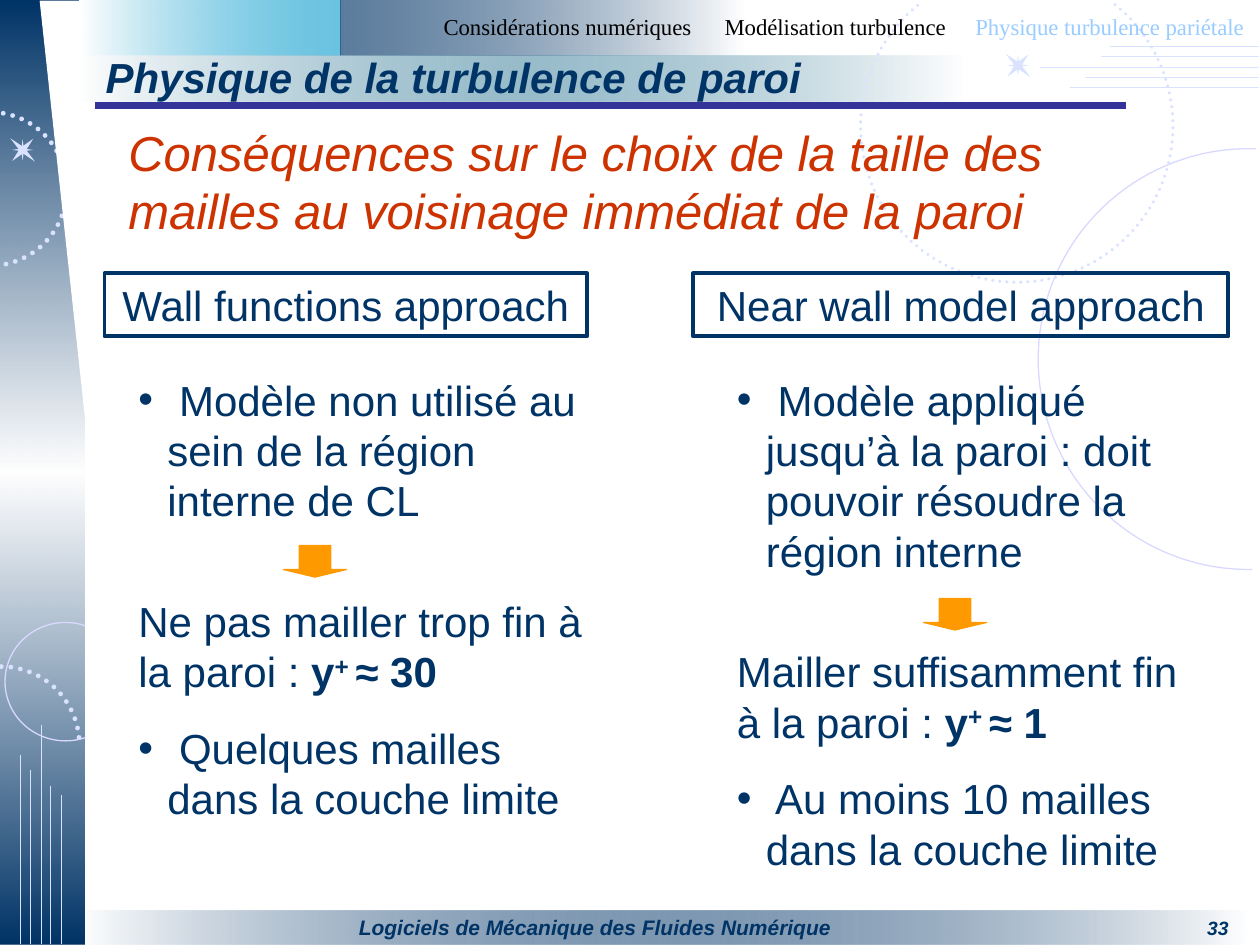
import dataclasses
import math

import lxml.etree
import pptx
import pptx.dml.color
import pptx.enum.dml
import pptx.enum.shapes
import pptx.enum.text
import pptx.oxml.ns
import pptx.slide
import pptx.util

Inches = pptx.util.Inches
Pt = pptx.util.Pt
SHAPE = pptx.enum.shapes.MSO_SHAPE
ALIGN = pptx.enum.text.PP_ALIGN
qn = pptx.oxml.ns.qn


@dataclasses.dataclass(frozen=True)
class Theme:
    navy: str = "003366"
    white: str = "FFFFFF"
    pale: str = "D9E3FF"
    lilac: str = "D9D9FF"
    cyan: str = "0099CC"
    teal: str = "5490A8"
    rule: str = "333399"
    red: str = "CC3300"
    orange: str = "FF9900"
    black: str = "000000"
    sky: str = "99CCFF"
    sans: str = "Arial"
    serif: str = "Times New Roman"
    headline: int = 28
    body: int = 24
    nav: int = 13
    footer: int = 12
    number: int = 11


def rgb(color):
    return pptx.dml.color.RGBColor.from_string(color)


@dataclasses.dataclass
class Page:
    theme: Theme
    s: pptx.slide.Slide

    def finish(self, sp, fill, line, width):
        sp.shadow.inherit = False
        if fill:
            sp.fill.solid()
            sp.fill.fore_color.rgb = rgb(fill)
        else:
            sp.fill.background()
        if line:
            sp.line.color.rgb = rgb(line)
            sp.line.width = Pt(width)
        else:
            sp.line.fill.background()
        return sp

    def shape(self, kind, x, y, w, h, fill=None, line=None, width=0.75, rotation=0, adjust=()):
        sp = self.s.shapes.add_shape(kind, Inches(x), Inches(y), Inches(w), Inches(h))
        sp.rotation = rotation
        for i, value in enumerate(adjust):
            sp.adjustments[i] = value
        return self.finish(sp, fill, line, width)

    def gradient(self, x, y, w, h, stops, angle=0):
        sp = self.shape(SHAPE.RECTANGLE, x, y, w, h)
        sp.fill.gradient()
        sp.fill.gradient_angle = angle
        gs_list = sp._element.spPr.find(qn("a:gradFill")).find(qn("a:gsLst"))
        for gs in list(gs_list):
            gs_list.remove(gs)
        for position, color, alpha in stops:
            gs = lxml.etree.SubElement(gs_list, qn("a:gs"), pos=str(position * 1000))
            clr = lxml.etree.SubElement(gs, qn("a:srgbClr"), val=color)
            lxml.etree.SubElement(clr, qn("a:alpha"), val=str(alpha * 1000))

    def line(self, x1, y1, x2, y2, color, width):
        cx = self.s.shapes.add_connector(pptx.enum.shapes.MSO_CONNECTOR.STRAIGHT,
                                         Inches(x1), Inches(y1), Inches(x2), Inches(y2))
        cx.line.color.rgb = rgb(color)
        cx.line.width = Pt(width)
        lxml.etree.SubElement(cx._element.spPr, qn("a:effectLst"))

    def arc(self, cx, cy, radius, start, end, color, width, dotted=False):
        steps = 72
        angles = [math.radians(start + (end - start) * i / steps) for i in range(steps + 1)]
        points = [(Inches(cx + radius * math.cos(a)), Inches(cy + radius * math.sin(a)))
                  for a in angles]
        builder = self.s.shapes.build_freeform(*points[0])
        builder.add_line_segments(points[1:], close=False)
        sp = self.finish(builder.convert_to_shape(), None, color, width)
        if dotted:
            sp.line.dash_style = pptx.enum.dml.MSO_LINE.ROUND_DOT
            sp._element.spPr.find(qn("a:ln")).set("cap", "rnd")

    def star(self, cx, cy):
        for w, h, rotation, inner in ((0.27, 0.24, 43.4, 0.11), (0.17, 0.17, 0, 0.08)):
            self.shape(SHAPE.STAR_4_POINT, cx - w / 2, cy - h / 2, w, h, self.theme.pale,
                       rotation=rotation, adjust=[inner])

    def textbox(self, x, y, w, h):
        sp = self.s.shapes.add_textbox(Inches(x), Inches(y), Inches(w), Inches(h))
        sp.text_frame.word_wrap = True
        return sp.text_frame

    def run(self, p, text, size, color=None, font=None, bold=False, italic=False, baseline=0):
        r = p.add_run()
        r.text = text
        r.font.size = Pt(size)
        r.font.name = font or self.theme.sans
        r.font.color.rgb = rgb(color or self.theme.navy)
        r.font.bold = bold
        r.font.italic = italic
        if baseline:
            r._r.get_or_add_rPr().set("baseline", str(baseline * 1000))

    def text(self, x, y, w, h, text, size, align=ALIGN.LEFT, **style):
        p = self.textbox(x, y, w, h).paragraphs[0]
        p.alignment = align
        self.run(p, text, size, **style)

    def navigation(self, x, y, w, h, items, tabs):
        tf = self.textbox(x, y, w, h)
        tf.margin_left = tf.margin_right = 0
        p = tf.paragraphs[0]
        tab_list = lxml.etree.SubElement(p._p.get_or_add_pPr(), qn("a:tabLst"))
        for tab in tabs:
            lxml.etree.SubElement(tab_list, qn("a:tab"), pos=str(Inches(tab)), algn="l")
        for i, (label, color) in enumerate(items):
            self.run(p, "\t" + label if i else label, self.theme.nav, color, self.theme.serif)

    def heading(self, x, w, text):
        sp = self.shape(SHAPE.RECTANGLE, x, 2.17, w, 0.5, line=self.theme.navy, width=2.25)
        tf = sp.text_frame
        tf.word_wrap = True
        tf.vertical_anchor = pptx.enum.text.MSO_ANCHOR.TOP
        p = tf.paragraphs[0]
        p.alignment = ALIGN.CENTER
        self.run(p, text, self.theme.body)

    def bullet(self, p, text):
        pPr = p._p.get_or_add_pPr()
        pPr.set("marL", str(Inches(0.23)))
        pPr.set("indent", str(Inches(-0.23)))
        lxml.etree.SubElement(pPr, qn("a:buFont"), typeface=self.theme.sans)
        lxml.etree.SubElement(pPr, qn("a:buChar"), char="•")
        self.run(p, " " + text, self.theme.body)

    def column(self, x, h, model, advice, value, cells):
        size = self.theme.body
        tf = self.textbox(x, 2.92, 3.75, h)
        self.bullet(tf.paragraphs[0], model)
        p = tf.add_paragraph()
        p.space_before = Pt(40)
        self.run(p, advice + " ", size)
        self.run(p, "y", size, bold=True)
        self.run(p, "+ ", size, bold=True, baseline=30)
        self.run(p, value, size, bold=True)
        p = tf.add_paragraph()
        p.space_before = Pt(15)
        self.bullet(p, cells)


def main():
    prs = pptx.Presentation()
    prs.slide_width, prs.slide_height = Inches(10), Inches(7.5)
    t = Theme()
    page = Page(t, prs.slides.add_slide(prs.slide_layouts[6]))

    page.gradient(0.62, 7.23, 9.27, 0.27, [(0, t.white, 100), (50, t.navy, 50), (100, t.white, 100)])
    page.text(0.12, 7.22, 9.73, 0.28, "33", t.number, ALIGN.RIGHT, bold=True, italic=True)

    page.gradient(0, 0, 0.67, 7.5, [(0, t.navy, 100), (50, t.white, 90), (100, t.navy, 100)], 90)
    for x, top in ((0.16, 5.99), (0.24, 6.11), (0.33, 5.75), (0.4, 6.24), (0.49, 6.31)):
        page.line(x, 7.49, x, top, t.pale, 0.25)
    page.arc(0.01, 5.91, 0.62, -90, 0, t.pale, 2.75, dotted=True)
    page.arc(-0.08, 1.5, 0.61, -80, 80, t.pale, 2.75, dotted=True)
    page.shape(SHAPE.OVAL, 0.04, 4.94, 0.96, 0.94, line=t.lilac)
    page.shape(SHAPE.RECTANGLE, 0.68, 4.56, 0.55, 1.71, t.white, t.white)
    page.star(0.18, 1.19)
    page.shape(SHAPE.RIGHT_TRIANGLE, 0.32, 0.01, 0.51, 4.69, t.white, t.white, rotation=180)

    page.arc(9.91, 2.85, 1.67, 89, 272, t.lilac, 0.75)
    for i, x in enumerate((8.81, 8.74, 8.25, 8.61, 8.49)):
        y = 0.37 + 0.08 * i
        page.line(9.99, y, x, y, t.pale, 0.25)
    page.star(8.08, 0.52)
    page.gradient(0.63, 0, 2.07, 0.44, [(0, t.white, 100), (100, t.cyan, 59)])
    page.gradient(2.7, 0, 3.22, 0.44, [(0, t.navy, 64), (100, t.white, 100)])
    page.gradient(0.63, 0.44, 7.02, 0.37, [(0, t.white, 100), (50, t.teal, 60), (100, t.white, 100)])
    page.arc(8.07, 1, 1.24, -51, 233, t.pale, 2, dotted=True)
    page.line(0.75, 0.84, 8.94, 0.84, t.rule, 4)

    page.text(2.75, 7.21, 6, 0.29, "Logiciels de Mécanique des Fluides Numérique", t.footer,
              bold=True, italic=True)
    page.text(0.92, 0.92, 8.58, 1.03,
              "Conséquences sur le choix de la taille des mailles au voisinage immédiat de la paroi",
              t.headline, color=t.red, italic=True)
    page.heading(0.83, 3.83, "Wall functions approach")
    page.heading(5.5, 4.25, "Near wall model approach")
    page.column(1, 3.67, "Modèle non utilisé au sein de la région interne de CL",
                "Ne pas mailler trop fin à la paroi :", "≈ 30",
                "Quelques mailles dans la couche limite")
    page.column(5.75, 4.07, "Modèle appliqué jusqu’à la paroi : doit pouvoir résoudre la région interne",
                "Mailler suffisamment fin à la paroi :", "≈ 1",
                "Au moins 10 mailles dans la couche limite")
    for x, y in ((2.25, 4.33), (7.33, 4.75)):
        page.shape(SHAPE.DOWN_ARROW, x, y, 0.5, 0.25, t.orange, t.orange, adjust=[0.5, 0.24])

    page.text(0.74, 0.36, 7.17, 0.51, "Physique de la turbulence de paroi", t.body,
              bold=True, italic=True)
    page.navigation(3.52, 0.05, 6.45, 0.32,
                    [("Considérations numériques", t.black), ("Modélisation turbulence", t.black),
                     ("Physique turbulence pariétale", t.sky)], (2.23, 4.22))
    prs.save("out.pptx")


if __name__ == "__main__":
    main()
